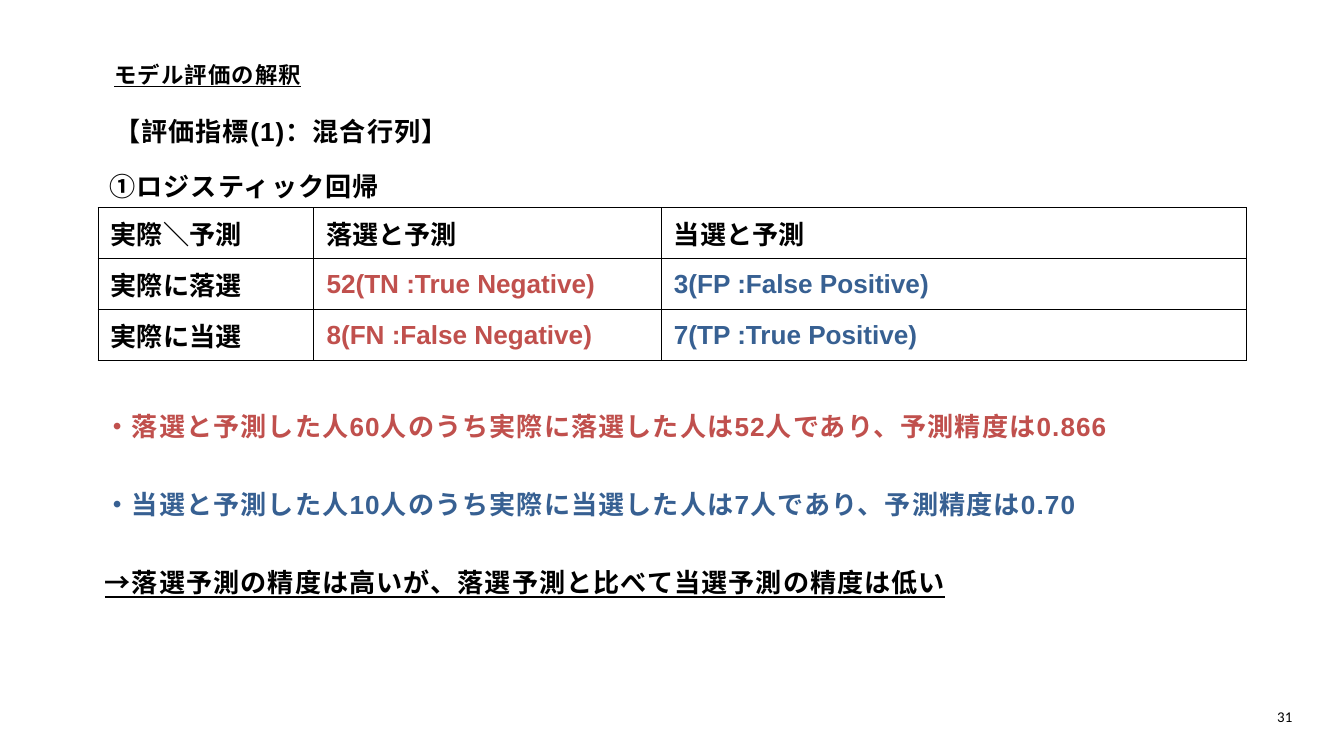
from lxml.etree import SubElement
from pptx import Presentation
from pptx.dml.color import RGBColor
from pptx.enum.text import MSO_ANCHOR, PP_ALIGN
from pptx.oxml.ns import qn
from pptx.util import Pt

PX = 9144  # 100 px to the inch
BLACK, RED, BLUE = "000000", "C0504D", "376092"
INDENT = 28


def write(tf, text, size=28, color=BLACK, font="Arial", bold=True, underline=False,
          spacing=120, line=None, indent=0, align=PP_ALIGN.LEFT):
    """Fill the empty first paragraph of a text frame, or add another one."""
    p = tf.paragraphs[0] if not tf.paragraphs[0].runs else tf.add_paragraph()
    p.alignment = align
    if line:
        p.line_spacing = line
    if indent:
        p._p.get_or_add_pPr().set("marL", str(indent * PX))
    r = p.add_run()
    r.text = text
    r.font.name, r.font.size = font, Pt(size)
    r.font.bold, r.font.underline = bold, underline
    r.font.color.rgb = RGBColor.from_string(color)
    if spacing:
        r._r.get_or_add_rPr().set("spc", str(spacing))


def place(s, x, y, w, h, inset=(0, 0), anchor=MSO_ANCHOR.TOP):
    """Position a text shape in px and return its prepared text frame."""
    s.left, s.top, s.width, s.height = [v * PX for v in (x, y, w, h)]
    tf = s.text_frame
    tf.word_wrap = True
    tf.vertical_anchor = anchor
    tf.margin_left = tf.margin_right = inset[0] * PX
    tf.margin_top = tf.margin_bottom = inset[1] * PX
    return tf


prs = Presentation()
prs.slide_width, prs.slide_height = 2000 * PX, 1125 * PX
slide = prs.slides.add_slide(prs.slide_layouts[5])
shapes = slide.shapes

# Headings
tf = place(shapes.title, 170, 77, 1160, 48)
write(tf, "モデル評価の解釈", size=24, underline=True, line=Pt(38.4))

tf = place(shapes.add_textbox(0, 0, 0, 0), 142, 101, 1834, 95)
write(tf, "【評価指標(1)：混合行列】", line=2.5, indent=INDENT)

tf = place(shapes.add_textbox(0, 0, 0, 0), 125, 179, 1000, 105, inset=(10, 5))
write(tf, "①ロジスティック回帰", line=2.5, indent=INDENT)

# Confusion matrix
rows = [
    ["実際＼予測", "落選と予測", "当選と予測"],
    ["実際に落選", "52(TN :True Negative)", "3(FP :False Positive)"],
    ["実際に当選", "8(FN :False Negative)", "7(TP :True Positive)"],
]
widths = [321, 517, 871]
row_height = 76
table = shapes.add_table(len(rows), len(widths), 146 * PX, 309 * PX,
                         sum(widths) * PX, len(rows) * row_height * PX).table
for column, width in zip(table.columns, widths):
    column.width = width * PX
for i, row in enumerate(rows):
    table.rows[i].height = row_height * PX
    for j, text in enumerate(row):
        cell = table.cell(i, j)
        cell.vertical_anchor = MSO_ANCHOR.MIDDLE
        cell.margin_left = cell.margin_right = 19 * PX
        cell.margin_top = cell.margin_bottom = 9 * PX
        tcPr = cell._tc.get_or_add_tcPr()
        for side in ("lnL", "lnR", "lnT", "lnB"):
            ln = SubElement(tcPr, qn(f"a:{side}"), w=str(Pt(1)))
            SubElement(SubElement(ln, qn("a:solidFill")), qn("a:srgbClr"), val=BLACK)
        cell.fill.background()
        color = (BLACK, RED, BLUE)[j] if i else BLACK
        write(cell.text_frame, text, color=color, spacing=0)

# Findings
tf = place(shapes.add_textbox(0, 0, 0, 0), 128, 540, 1834, 331)
findings = [
    ("・落選と予測した人60人のうち実際に落選した人は52人であり、予測精度は0.866", RED, False),
    ("・当選と予測した人10人のうち実際に当選した人は7人であり、予測精度は0.70", BLUE, False),
    ("→落選予測の精度は高いが、落選予測と比べて当選予測の精度は低い", BLACK, True),
]
for text, color, underline in findings:
    write(tf, text, color=color, underline=underline, line=2.5, indent=INDENT)

# Page number
tf = place(shapes.add_textbox(0, 0, 0, 0), 1700, 1046, 233, 40,
           inset=(10, 5), anchor=MSO_ANCHOR.MIDDLE)
write(tf, "31", size=16, font="Calibri", bold=False, spacing=0, align=PP_ALIGN.RIGHT)

prs.save("out.pptx")
